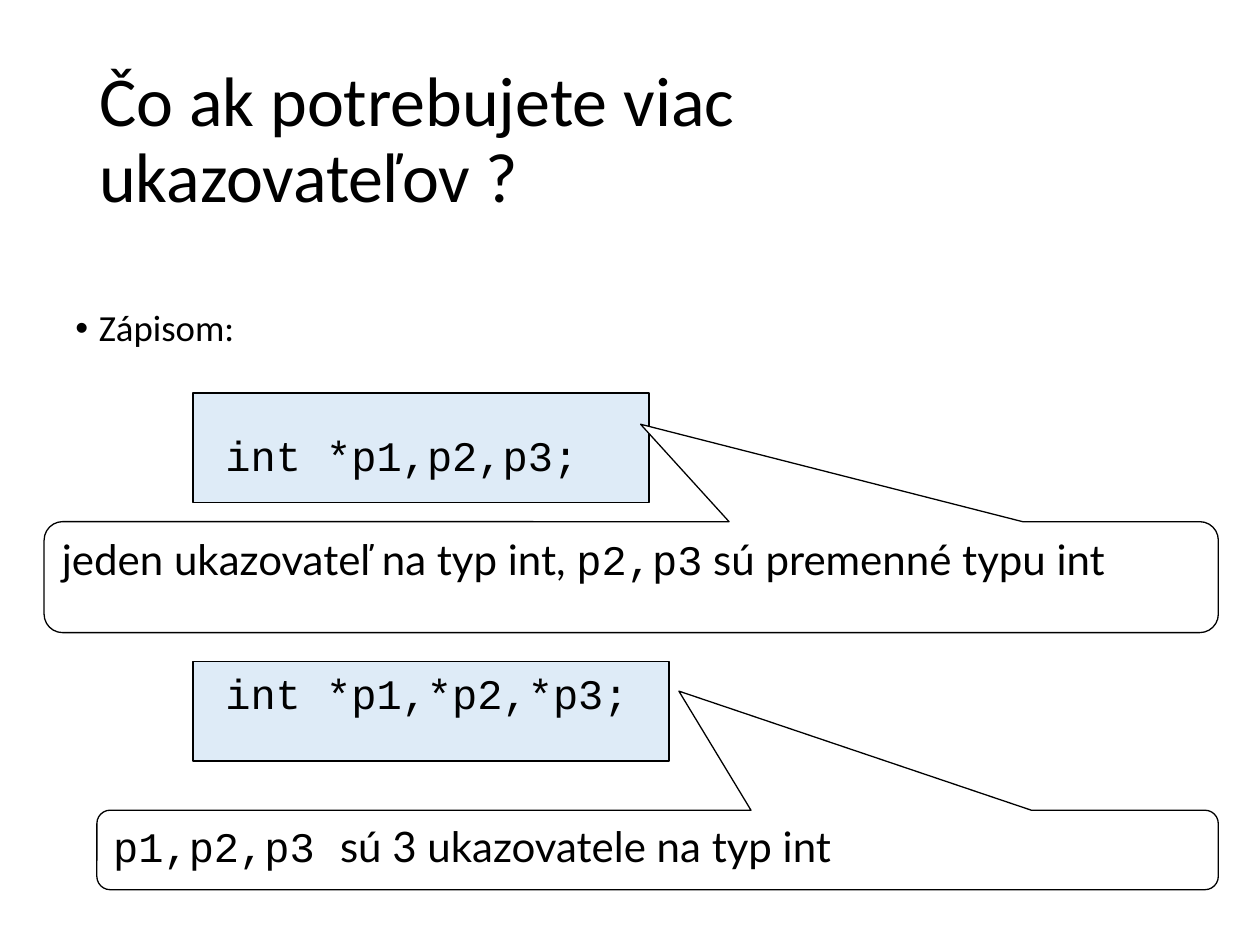
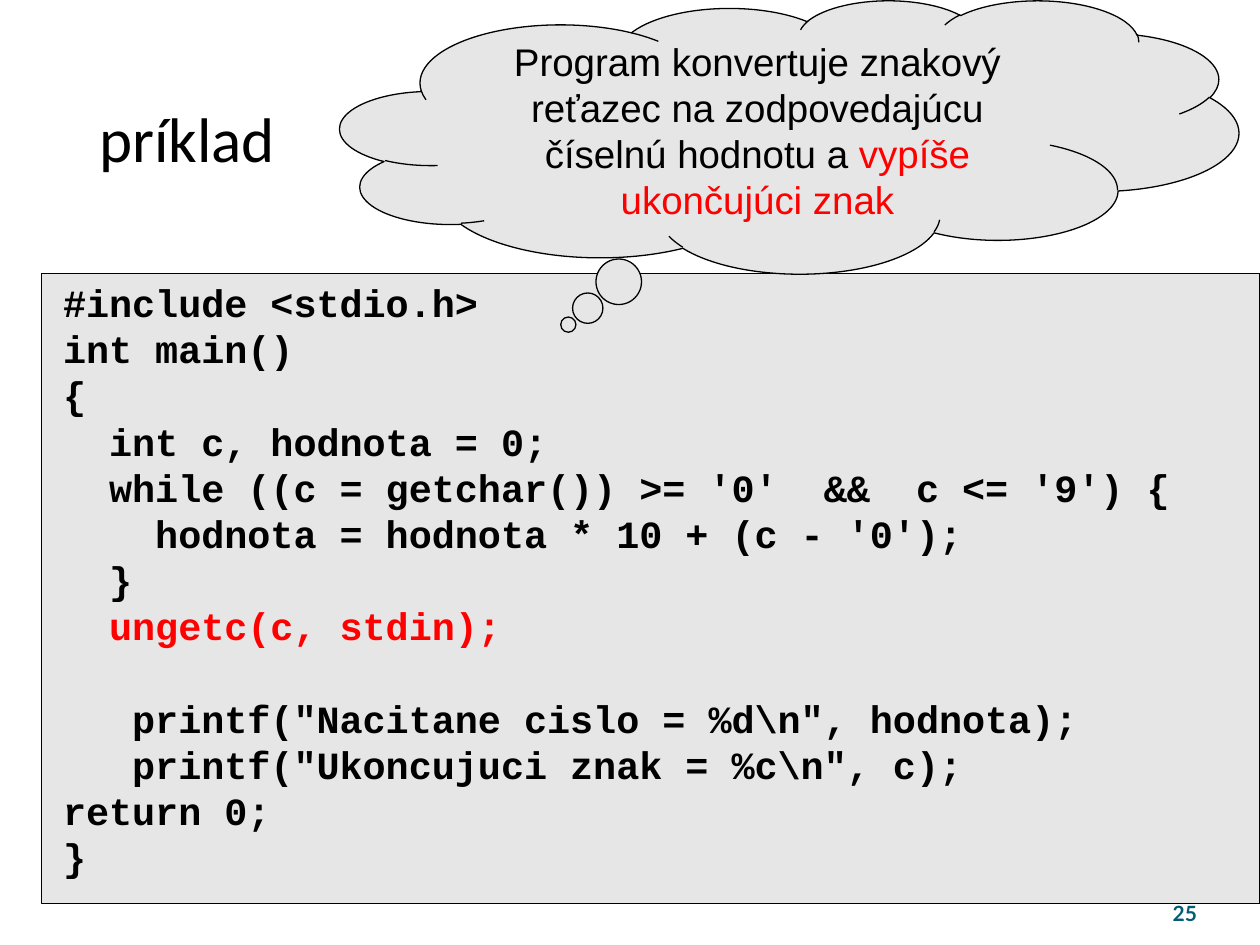
from dataclasses import dataclass

from lxml.etree import SubElement
from pptx import Presentation
from pptx.dml.color import RGBColor
from pptx.enum.shapes import MSO_SHAPE as Preset
from pptx.enum.text import MSO_ANCHOR as Anchor, PP_ALIGN as Align
from pptx.oxml.ns import qn
from pptx.util import Pt


@dataclass(frozen=True)
class Theme:
    ink: str = "000000"
    paper: str = "FFFFFF"
    accent: str = "FF0000"
    code_blue: str = "DEEBF7"
    code_grey: str = "E7E6E6"
    footer: str = "045C75"
    heading_font: str = "Calibri"
    body_font: str = "Lato"
    code_font: str = "Courier New"
    cloud_font: str = "Arial"
    title_size: float = 40
    small_title_size: float = 36
    bullet_size: float = 21
    note_size: float = 24
    listing_size: float = 22
    footer_size: float = 12


@dataclass(frozen=True)
class Span:
    text: str
    font: str
    color: str = Theme.ink


THEME = Theme()

LISTING = [
    "#include <stdio.h>",
    "int main()",
    "{",
    "  int c, hodnota = 0;",
    "  while ((c = getchar()) >= '0'  &&  c <= '9') {",
    "    hodnota = hodnota * 10 + (c - '0');",
    "  }",
    "  ungetc(c, stdin);",
    "  ",
    r'   printf("Nacitane cislo = %d\n", hodnota);',
    r'   printf("Ukoncujuci znak = %c\n", c);',
    "return 0;",
    "}",
]


class Deck:
    def __init__(self, theme):
        self.theme = theme
        self.presentation = Presentation()
        self.presentation.slide_width = Pt(720)
        self.presentation.slide_height = Pt(540)
        self.slide = None

    def new_slide(self):
        blank = self.presentation.slide_layouts[6]
        self.slide = self.presentation.slides.add_slide(blank)

    def fill_text(self, shape, lines, size, anchor=Anchor.TOP, align=Align.LEFT,
                  inset=7.2, bold=False, spacing=None):
        frame = shape.text_frame
        frame.word_wrap = True
        frame.vertical_anchor = anchor
        frame.margin_left = frame.margin_right = Pt(inset)
        frame.margin_top = frame.margin_bottom = Pt(inset / 2)
        for index, spans in enumerate(lines):
            paragraph = frame.add_paragraph() if index else frame.paragraphs[0]
            paragraph.alignment = align
            if spacing:
                paragraph.line_spacing = spacing
            for span in spans:
                run = paragraph.add_run()
                run.text = span.text
                run.font.name = span.font
                run.font.size = Pt(size)
                run.font.bold = bold
                run.font.color.rgb = RGBColor.from_string(span.color)

    def text(self, box, lines, size, **style):
        shape = self.slide.shapes.add_textbox(*map(Pt, box))
        self.fill_text(shape, lines, size, **style)
        return shape

    def shape(self, preset, box, fill, line_width=0.75):
        shape = self.slide.shapes.add_shape(preset, *map(Pt, box))
        shape.shadow.inherit = False
        shape.fill.solid()
        shape.fill.fore_color.rgb = RGBColor.from_string(fill)
        shape.line.color.rgb = RGBColor.from_string(self.theme.ink)
        shape.line.width = Pt(line_width)
        return shape

    def title(self, text, size):
        self.text((49.7, 28.8, 621.4, 104.4),
                  [[Span(text, self.theme.heading_font)]], size,
                  anchor=Anchor.MIDDLE, spacing=0.9)

    def bullet(self, box, text):
        shape = self.text(box, [[Span(text, self.theme.heading_font)]],
                          self.theme.bullet_size, spacing=0.9)
        properties = shape.text_frame.paragraphs[0]._p.get_or_add_pPr()
        properties.set("marL", str(Pt(13.5)))
        properties.set("indent", str(-Pt(13.5)))
        SubElement(properties, qn("a:buFont"), typeface="Arial")
        SubElement(properties, qn("a:buChar"), char="•")

    def declaration(self, panel_box, text_box, code):
        self.shape(Preset.RECTANGLE, panel_box, self.theme.code_blue, 1)
        self.text(text_box, [[Span(code, self.theme.code_font)]],
                  self.theme.note_size)

    def callout(self, preset, box, fill, tip, spans, size, **style):
        shape = self.shape(preset, box, fill)
        for index, value in enumerate(tip):
            shape.adjustments[index] = value
        self.fill_text(shape, [spans], size, **style)

    def note(self, box, tip, spans):
        self.callout(Preset.ROUNDED_RECTANGULAR_CALLOUT, box, self.theme.paper,
                     (*tip, 0.167), spans, self.theme.note_size)

    def listing(self, panel_box, text_box, code, highlighted):
        self.shape(Preset.RECTANGLE, panel_box, self.theme.code_grey)
        lines = [
            [Span(line, self.theme.code_font,
                  self.theme.accent if highlighted in line else self.theme.ink)]
            for line in code
        ]
        self.text(text_box, lines, self.theme.listing_size, inset=6.5, bold=True)

    def page_number(self, number):
        span = Span(str(number), self.theme.body_font, self.theme.footer)
        self.text((624.2, 500.4, 59.8, 28.8), [[span]], self.theme.footer_size,
                  anchor=Anchor.BOTTOM, align=Align.RIGHT, inset=0, bold=True)


def build_pointers(deck):
    theme = deck.theme
    deck.new_slide()
    deck.title("Čo ak potrebujete viac ukazovateľov ?", theme.title_size)
    deck.bullet((36, 173.5, 648, 385.2), "Zápisom:")
    deck.declaration((110.2, 224.6, 260.6, 62.6), (121.7, 241.9, 238.3, 64.8),
                     "int *p1,p2,p3;")
    deck.declaration((110.2, 378, 272.2, 56.9), (121.7, 378, 283.7, 64.8),
                     "int *p1,*p2,*p3;")
    deck.note((25.2, 298.1, 671, 63.4), (0.008, -1.378), [
        Span("jeden ukazovateľ na typ int, ", theme.body_font),
        Span("p2,p3", theme.code_font),
        Span(" sú premenné typu int", theme.body_font),
    ])
    deck.note((55.4, 463, 640.8, 45.4), (0.019, -1.999), [
        Span("p1,p2,p3 ", theme.code_font),
        Span("sú 3 ukazovatele na typ int", theme.body_font),
    ])


def build_example(deck):
    theme = deck.theme
    deck.new_slide()
    deck.title("príklad", theme.small_title_size)
    deck.page_number(25)
    deck.listing((23.8, 156.2, 696.2, 360), (29.5, 156.2, 690.5, 349.9),
                 LISTING, "ungetc")
    deck.callout(Preset.CLOUD_CALLOUT, (194.4, 0, 513.4, 156.2),
                 theme.code_grey, (-0.246, 0.688), [
        Span("Program konvertuje znakový reťazec na zodpovedajúcu "
             "číselnú hodnotu a ", theme.cloud_font),
        Span("vypíše ukončujúci znak", theme.cloud_font, theme.accent),
    ], theme.listing_size, anchor=Anchor.MIDDLE, align=Align.CENTER, inset=6.5)


def main():
    deck = Deck(THEME)
    build_pointers(deck)
    build_example(deck)
    deck.presentation.save("out.pptx")


if __name__ == "__main__":
    main()
